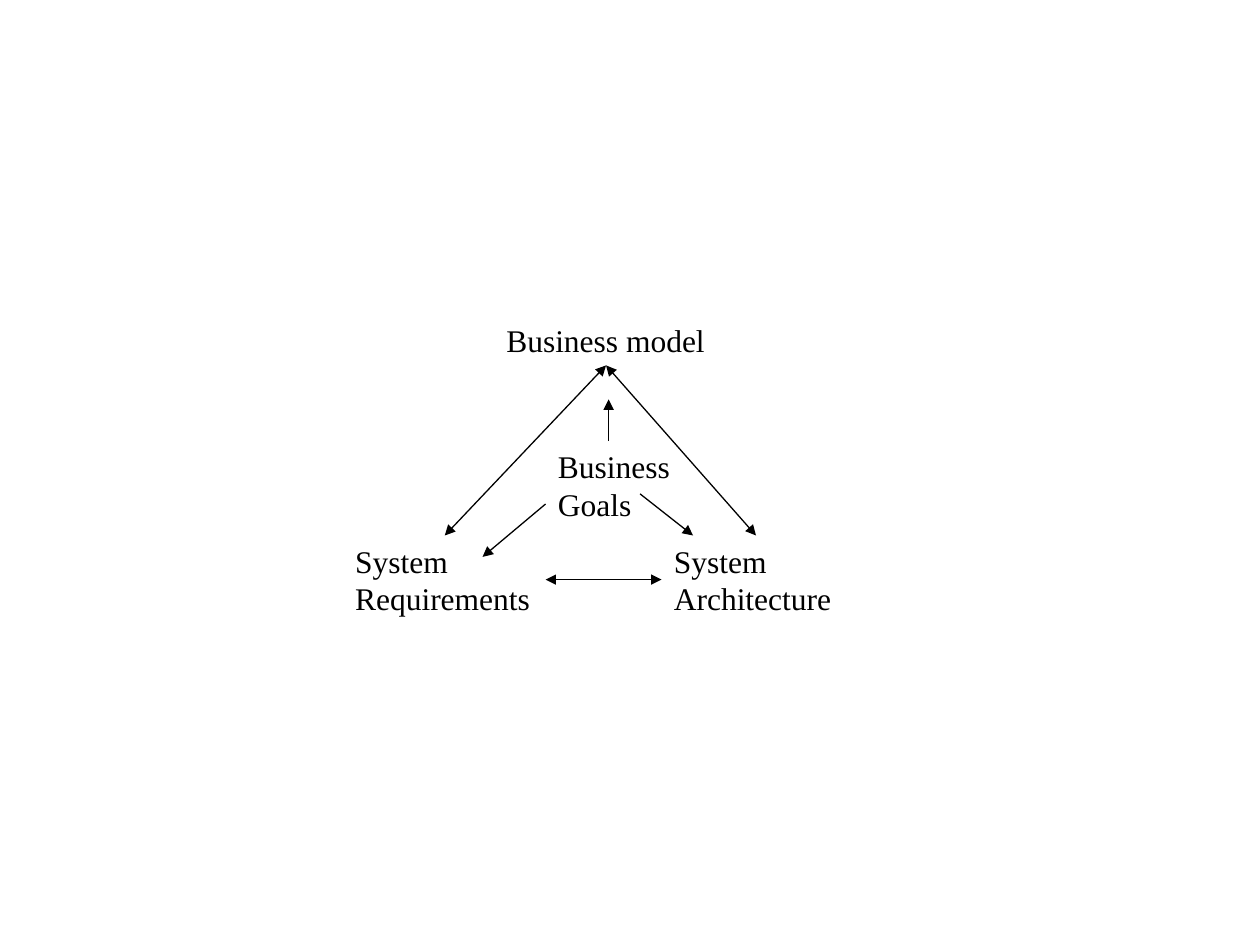
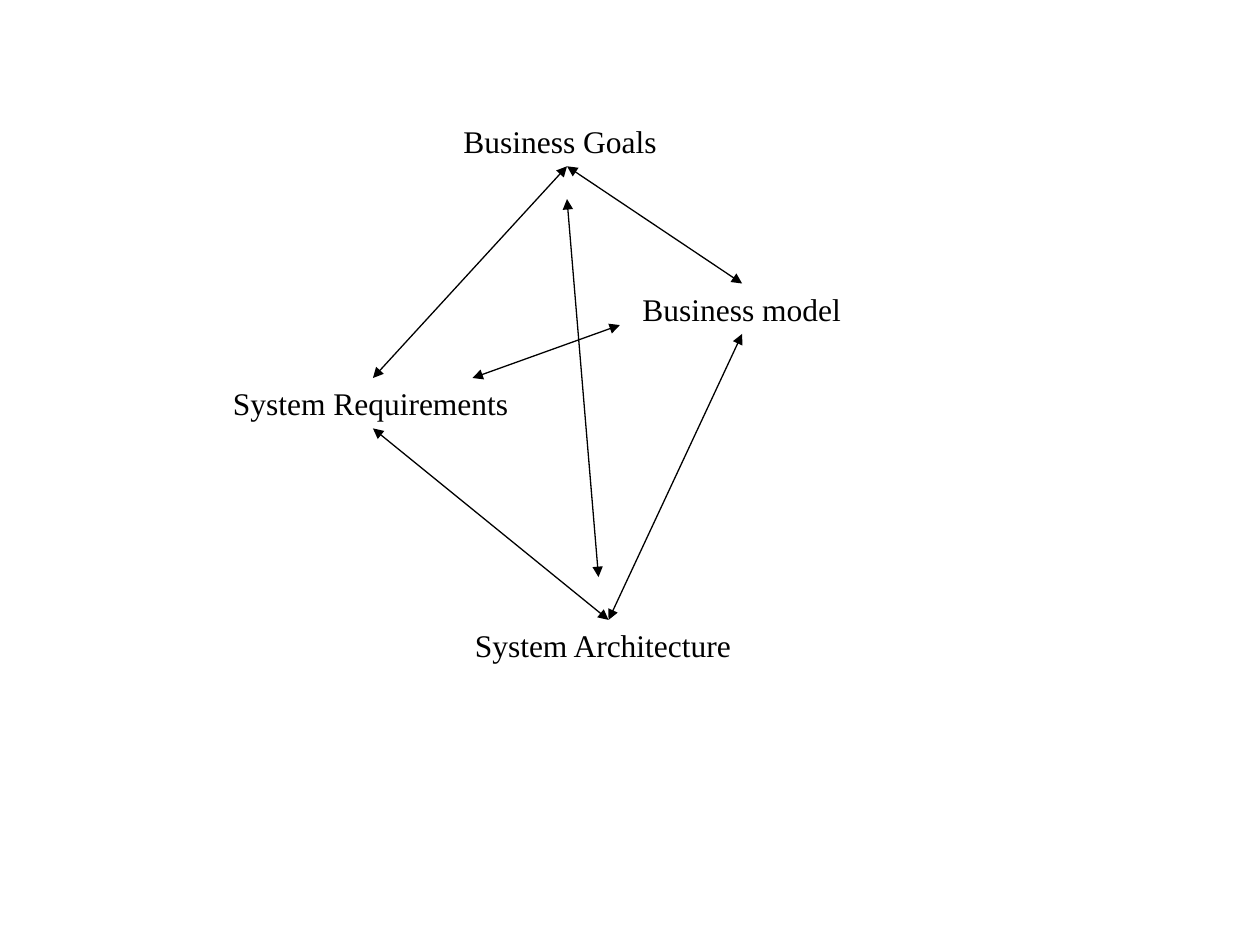
from lxml import etree
from pptx import Presentation
from pptx.dml.color import RGBColor
from pptx.enum.shapes import MSO_CONNECTOR as CONN
from pptx.enum.text import MSO_AUTO_SIZE as AUTO, MSO_ANCHOR as ANCHOR, PP_ALIGN as ALIGN
from pptx.oxml.ns import qn
from pptx.util import Inches, Pt

BLACK = RGBColor(0x00, 0x00, 0x00)
WHITE = RGBColor(0xFF, 0xFF, 0xFF)
ONE_LINE, TWO_LINES = 0.4, 0.7


class Diagram:
    """Shared style and the slide being drawn."""
    font, size, ink, weight = "Times New Roman", Pt(18), BLACK, Pt(0.74)

    def __init__(self, prs):
        self.prs = prs
        self.s = None

    def new_slide(self):
        self.s = self.prs.slides.add_slide(self.prs.slide_layouts[6])
        fill = self.s.background.fill
        fill.solid()
        fill.fore_color.rgb = WHITE

    def label(self, x, y, w, *lines):
        h = TWO_LINES if len(lines) > 1 else ONE_LINE
        sp = self.s.shapes.add_textbox(Inches(x), Inches(y), Inches(w), Inches(h))
        tf = sp.text_frame
        tf.word_wrap = True
        tf.auto_size = AUTO.SHAPE_TO_FIT_TEXT
        tf.vertical_anchor = ANCHOR.TOP
        tf.margin_left = tf.margin_right = Inches(0.1)
        tf.margin_top = tf.margin_bottom = Inches(0.05)
        p = tf.paragraphs[0]
        p.alignment = ALIGN.LEFT
        for i, line in enumerate(lines):
            if i:
                p.add_line_break()
            r = p.add_run()
            r.text = line
            r.font.name, r.font.size = self.font, self.size
            r.font.color.rgb = self.ink

    def arrow(self, start, end, both=True):
        cx = self.s.shapes.add_connector(
            CONN.STRAIGHT, *(Inches(v) for v in (*start, *end)))
        cx.line.color.rgb = self.ink
        cx.line.width = self.weight
        # Arrowheads go on the line; the empty effect list removes the shadow
        ln = cx._element.spPr.find(qn("a:ln"))
        for tag in ("a:headEnd", "a:tailEnd") if both else ("a:tailEnd",):
            etree.SubElement(ln, qn(tag), type="triangle")
        etree.SubElement(cx._element.spPr, qn("a:effectLst"))


prs = Presentation()
prs.slide_width, prs.slide_height = Inches(10), Inches(7.5)
d = Diagram(prs)

# Slide 1: triangle with the goals in the middle
d.new_slide()
d.label(3.92, 2.5, 1.8, "Business model")
d.label(2.72, 4.25, 1.61, "System ", "Requirements")
d.label(5.25, 4.25, 1.5, "System ", "Architecture")
d.label(4.33, 3.5, 1.17, "Business ", "Goals")

# Sides of the triangle
model = (4.81, 2.9)
d.arrow((6, 4.25), model)
d.arrow((3.53, 4.25), model)
d.arrow((4.33, 4.6), (5.25, 4.6))

# From the goals outwards
d.arrow((4.33, 4), (3.83, 4.42), both=False)
d.arrow((5.08, 3.92), (5.5, 4.25), both=False)
d.arrow((4.83, 3.5), (4.83, 3.17), both=False)

# Slide 2: four linked corners
d.new_slide()
d.label(5, 2.25, 1.8, "Business model")
d.label(1.75, 3, 2.42, "System Requirements")
d.label(3.67, 4.92, 2.33, "System Architecture")
d.label(3.58, 0.92, 1.83, "Business Goals")

# Outer sides
goals, architecture = (4.5, 1.32), (4.83, 4.92)
d.arrow((2.96, 3.4), architecture)
d.arrow((2.96, 3), goals)
d.arrow(goals, (5.89, 2.25))
d.arrow((5.89, 2.65), architecture)

# Diagonals
d.arrow((4.5, 1.58), (4.75, 4.58))
d.arrow((4.92, 2.58), (3.75, 3))

prs.save("out.pptx")
